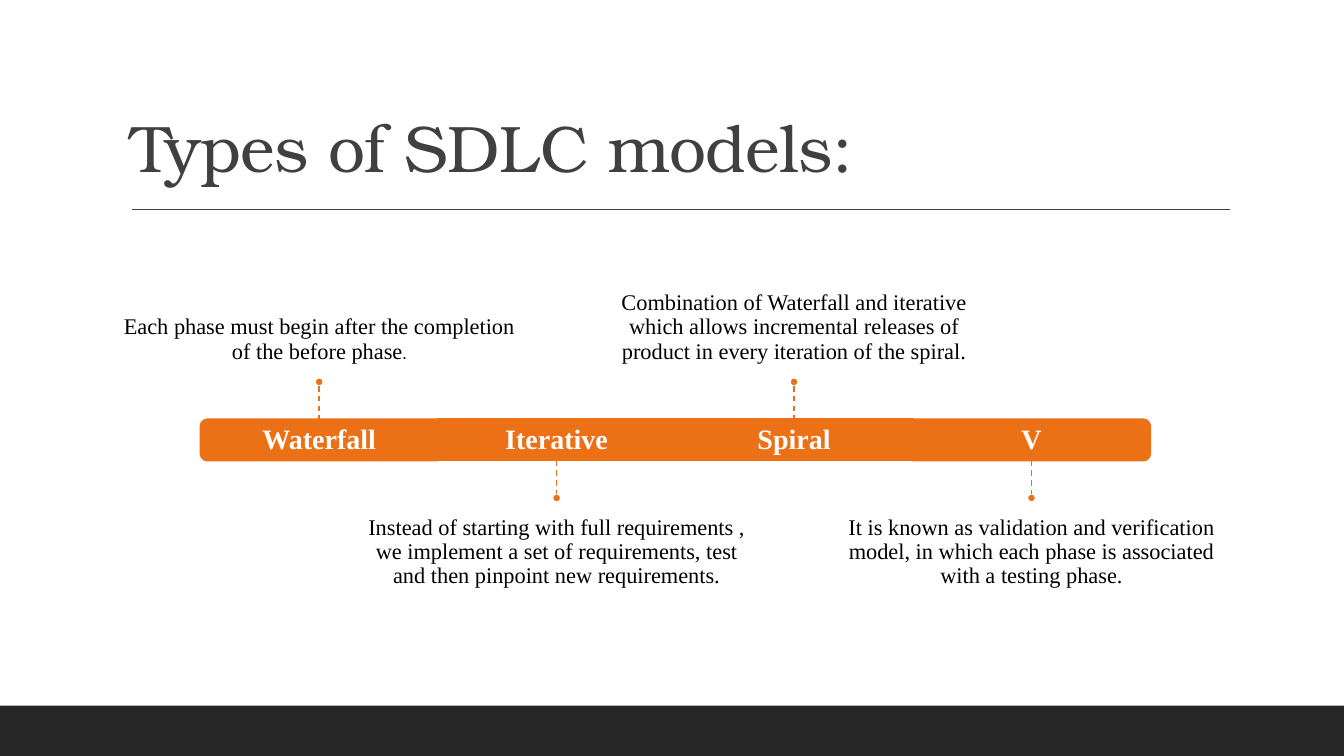
import pptx
import pptx.util
import pptx.dml.color
import pptx.enum.dml
import pptx.enum.shapes
import pptx.enum.text
import pptx.oxml.ns
import lxml.etree

Pt = pptx.util.Pt
SHAPES = pptx.enum.shapes.MSO_SHAPE
ANCHOR = pptx.enum.text.MSO_ANCHOR
ALIGN = pptx.enum.text.PP_ALIGN
ORANGE = "EC7016"
SERIF = "Times New Roman"


def paint(target, color):
    """Give a fill, line fill or font one solid colour."""
    if hasattr(target, "solid"):
        target.solid()
        target = target.fore_color
    else:
        target = target.color
    target.rgb = pptx.dml.color.RGBColor.from_string(color)


def write(box, runs, anchor, align, margins, color):
    """Add one text box; runs is a list of (text, font values)."""
    frame = slide.shapes.add_textbox(*map(Pt, box)).text_frame
    sides = ("margin_left", "margin_top", "margin_right", "margin_bottom")
    frame_format = dict(zip(sides, map(Pt, margins)))
    frame_format.update(word_wrap=True, vertical_anchor=anchor)
    for key, value in frame_format.items():
        setattr(frame, key, value)
    paragraph = frame.paragraphs[0]
    paragraph.alignment = align
    paragraph.line_spacing = 0.9
    for text, font_format in runs:
        run = paragraph.add_run()
        run.text = text
        for key, value in font_format.items():
            setattr(run.font, key, value)
        paint(run.font, color)
    return paragraph


deck = pptx.Presentation()
deck.slide_width, deck.slide_height = Pt(960), Pt(540)
slide = deck.slides.add_slide(deck.slide_layouts[6])

# Footer band
footer = slide.shapes.add_shape(SHAPES.RECTANGLE, Pt(0), Pt(504), Pt(960), Pt(36))
footer.shadow.inherit = False
paint(footer.fill, "262626")
footer.line.fill.background()

# Title
title = write((86.4, 22.3, 792, 114.5),
              [("Types of SDLC models:", {"name": "TeX Gyre Bonum", "size": Pt(47)})],
              ANCHOR.BOTTOM, ALIGN.LEFT, (7.2, 3.6, 7.2, 3.6), "404040")
title.runs[0].font._element.set("spc", "-50")

# Timeline data: name, description, bar shape, rotation
description_font = {"name": SERIF, "size": Pt(16)}
label_font = {"name": SERIF, "size": Pt(20), "bold": True}
models = [
    ("Waterfall", [("Each phase must begin after the completion of the before phase", description_font),
                   (".", {"name": "Lato", "size": Pt(12)})],
     SHAPES.ROUND_2_SAME_RECTANGLE, 270),
    ("Iterative", [("Instead of starting with full requirements , we implement a set of "
                    "requirements, test and then pinpoint new requirements.", description_font)],
     SHAPES.RECTANGLE, 0),
    ("Spiral", [("Combination of Waterfall and iterative which allows incremental releases of "
                 "product in every iteration of the spiral.", description_font)],
     SHAPES.RECTANGLE, 0),
    ("V", [("It is known as validation and verification model, in which each phase is "
            "associated with a testing phase.", description_font)],
     SHAPES.ROUND_2_SAME_RECTANGLE, 90),
]
bar_left, bar_top, bar_width, bar_height = 143.2, 299.5, 169.6, 29.5
bar_middle, bar_bottom = bar_top + bar_height / 2, bar_top + bar_height
stem, dot_size = 23.7, 6
description_width, description_height = 283, 104.5
stems = [((132 / 1344 * 960, 149.6), (878.8, 149.6), "404040", None)]

# Bar segments, labels, descriptions and dots; descriptions alternate above and below
for index, (name, description, outline, rotation) in enumerate(models):
    center = bar_left + bar_width * (index + 0.5)
    above = index % 2 == 0
    width, height = (bar_height, bar_width) if rotation else (bar_width, bar_height)
    segment = slide.shapes.add_shape(outline, Pt(center - width / 2), Pt(bar_middle - height / 2),
                                     Pt(width), Pt(height))
    segment.rotation = rotation
    write((center - bar_width / 2, bar_top, bar_width, bar_height), [(name, label_font)],
          ANCHOR.MIDDLE, ALIGN.CENTER, (0, 0, 0, 0), "FFFFFF")

    description_top = 164.9 if above else 359.2
    write((center - description_width / 2, description_top, description_width, description_height),
          description, ANCHOR.BOTTOM if above else ANCHOR.TOP, ALIGN.CENTER,
          (0, 0, 0, 9.4) if above else (0, 9.4, 0, 0), "000000")

    edge, tip = (bar_top, bar_top - stem) if above else (bar_bottom, bar_bottom + stem)
    start, end = sorted((edge, tip))
    stems.append(((center, start), (center, end), ORANGE, pptx.enum.dml.MSO_LINE.DASH))
    dot_top = tip - dot_size if above else tip
    dot = slide.shapes.add_shape(SHAPES.OVAL, Pt(center - dot_size / 2), Pt(dot_top),
                                 Pt(dot_size), Pt(dot_size))
    for shape, line_color in ((segment, ORANGE), (dot, "FFFFFF")):
        shape.shadow.inherit = False
        paint(shape.fill, ORANGE)
        paint(shape.line.fill, line_color)
        shape.line.width = Pt(1.25)

# Title rule and dashed stems
for start, end, color, dash in stems:
    rule = slide.shapes.add_connector(pptx.enum.shapes.MSO_CONNECTOR.STRAIGHT,
                                      *map(Pt, start + end))
    paint(rule.line.fill, color)
    rule.line.width = Pt(1)
    rule.line.dash_style = dash
    lxml.etree.SubElement(rule._element.spPr, pptx.oxml.ns.qn("a:effectLst"))

deck.save("out.pptx")
